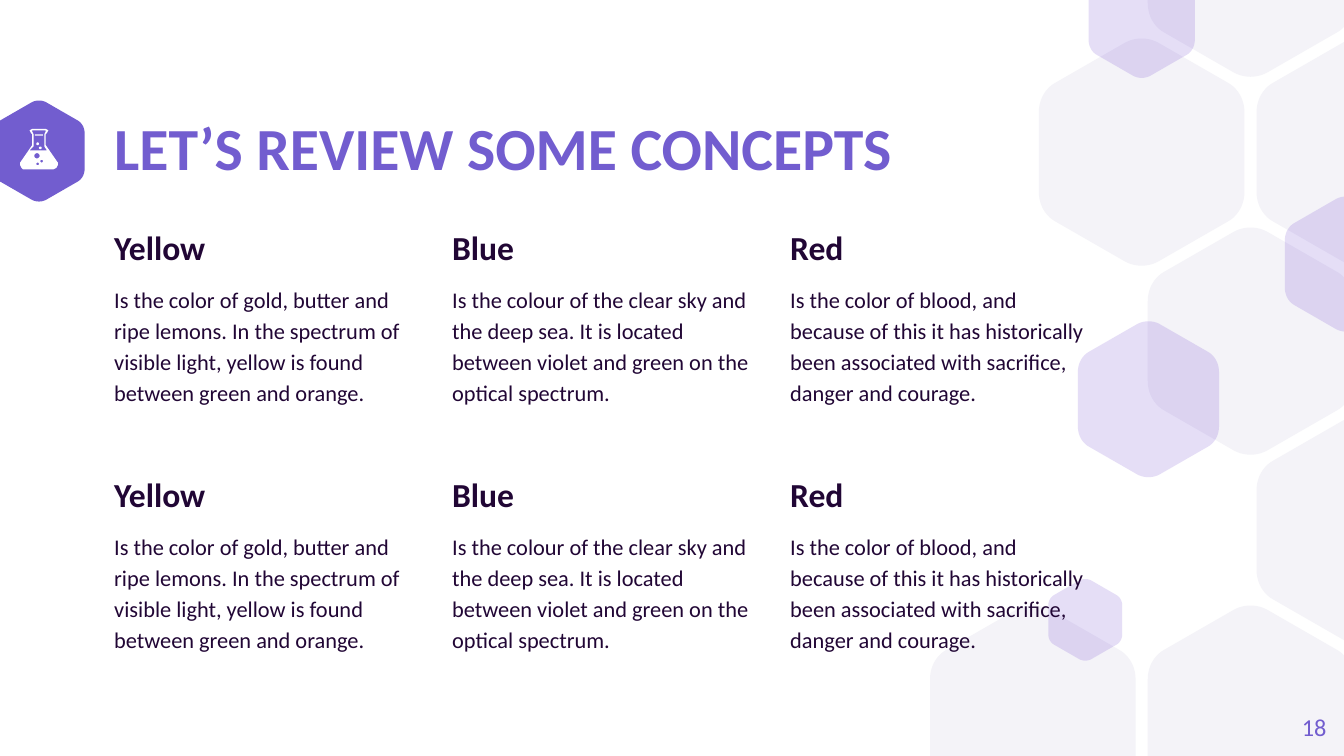
from dataclasses import dataclass
from math import cos, sin, tau

from lxml.etree import SubElement
from pptx import Presentation
from pptx.dml.color import RGBColor as Rgb
from pptx.enum.shapes import MSO_SHAPE as Kind
from pptx.enum.text import MSO_ANCHOR as Anchor, MSO_AUTO_SIZE as Fit, PP_ALIGN as Align
from pptx.oxml.ns import qn
from pptx.util import Inches, Pt

WIDE, HIGH = 10, 5.625
PURPLE, INK, PALE, TINT, WHITE = "725DCF", "210635", "F4F3F8", "5322C9", "FFFFFF"
Point = tuple[float, float]
Loop = list[Point]


@dataclass
class Hex:
    """A hexagon placed by shares of the slide, with its width as a share."""
    left: float
    top: float
    width: float
    fill: str = TINT
    alpha: int = 15


@dataclass
class Card:
    """A concept: its name and what it means."""
    name: str
    text: str


CELLS = [(-1, 3), (1, 3), (2, 0), (1, -1), (1, 1), (0, 0), (2, 2)]
HEXES = [Hex(-0.005, 0.133, 0.068, PURPLE, 100)]
HEXES += [Hex(0.773 + 0.081 * col, 0.051 + 0.25 * row, 0.153, PALE, 100) for col, row in CELLS]
HEXES += [Hex(0.956, 0.26, 0.091), Hex(0.78, 0.766, 0.055),
          Hex(0.81, -0.052, 0.079), Hex(0.802, 0.425, 0.105)]
CARDS = [
    Card("Yellow", "Is the color of gold, butter and ripe lemons. In the spectrum of "
                   "visible light, yellow is found between green and orange."),
    Card("Blue", "Is the colour of the clear sky and the deep sea. It is located "
                 "between violet and green on the optical spectrum."),
    Card("Red", "Is the color of blood, and because of this it has historically "
                "been associated with sacrifice, danger and courage."),
]
FLASK = [(0.24, 0.96), (0.34, 0.96), (0.36, 0.97), (0.35, 0.99), (0.34, 1), (0.34, 1.08),
         (0.43, 1.21), (0.43, 1.23), (0.42, 1.25), (0.4, 1.26), (0.17, 1.26), (0.16, 1.25),
         (0.15, 1.23), (0.15, 1.21), (0.24, 1.08), (0.24, 1), (0.23, 0.99), (0.22, 0.97)]
NECK = [(0.24, 0.97), (0.34, 0.97), (0.34, 0.98), (0.33, 1), (0.33, 1.09), (0.35, 1.12),
        (0.22, 1.12), (0.25, 1.09), (0.25, 1), (0.24, 0.98)]


def paint(shape, fill: str, alpha: int = 100) -> None:
    """Fill a shape with one colour and clear its line and shadow."""
    shape.shadow.inherit = False
    shape.line.fill.background()
    shape.fill.solid()
    shape.fill.fore_color.rgb = Rgb.from_string(fill)
    if alpha < 100:
        tone = shape.fill._xPr.find(".//" + qn("a:srgbClr"))
        SubElement(tone, qn("a:alpha"), val=str(alpha * 1000))


def trace(shapes, loops: list[Loop], fill: str, alpha: int = 100) -> None:
    """Draw closed loops, in inches, as one shape."""
    first, *rest = [[(Inches(x), Inches(y)) for x, y in loop] for loop in loops]
    pen = shapes.build_freeform(*first[0], scale=1.0)
    pen.add_line_segments(first[1:], close=True)
    for loop in rest:
        pen.move_to(*loop[0])
        pen.add_line_segments(loop[1:], close=True)
    paint(pen.convert_to_shape(), fill, alpha)


def curve(a: Point, b: Point, c: Point, d: Point, steps: int = 10) -> Loop:
    """Return points along a cubic curve."""
    marks = [i / steps for i in range(steps + 1)]
    return [tuple((1 - t) ** 3 * p + 3 * (1 - t) ** 2 * t * q + 3 * (1 - t) * t * t * r + t ** 3 * s
                  for p, q, r, s in zip(a, b, c, d)) for t in marks]


def ring(x: float, y: float, size: float) -> Loop:
    """Return a small circle around a centre."""
    return [(x + size * cos(tau * i / 24), y + size * sin(tau * i / 24)) for i in range(24)]


def draw_hex(shapes, item: Hex) -> None:
    """Draw a rounded hexagon, cut at the slide's top and bottom."""
    bend = curve((1, 0.325), (1, 0.27), (0.97, 0.22), (0.92, 0.195))
    cap = curve((0.58, 0.018), (0.53, -0.006), (0.47, -0.006), (0.42, 0.018))
    upper = bend + cap + [(1 - x, y) for x, y in reversed(bend)]
    whole = upper + [(1 - x, 1 - y) for x, y in upper]
    width = item.width * WIDE
    loop = [(item.left * WIDE + x * width,
             min(max(item.top * HIGH + y * width * 1.105, 0), HIGH)) for x, y in whole]
    trace(shapes, [loop], item.fill, item.alpha)


def draw_flask(shapes) -> None:
    """Draw the flask with its bubbles."""
    holes = [ring(0.275, 1.16, 0.02), ring(0.31, 1.2, 0.01), ring(0.28, 1.22, 0.01)]
    trace(shapes, [FLASK, NECK, *holes], WHITE)
    for dot in [ring(0.3, 1.1, 0.01), ring(0.28, 1.07, 0.01)]:
        trace(shapes, [dot], WHITE)
    bar = shapes.add_shape(Kind.ROUNDED_RECTANGLE, *map(Inches, (0.26, 1, 0.06, 0.01)))
    paint(bar, WHITE)


def place(shape, left: float, top: float, width: float, height: float,
          anchor: Anchor = Anchor.MIDDLE):
    """Set a text shape by shares of the slide and return its frame."""
    shape.left, shape.top = Inches(left * WIDE), Inches(top * HIGH)
    shape.width, shape.height = Inches(width * WIDE), Inches(height * HIGH)
    frame = shape.text_frame
    frame.margin_left = frame.margin_right = frame.margin_top = frame.margin_bottom = 0
    frame.word_wrap, frame.auto_size = True, Fit.NONE
    frame.vertical_anchor = anchor
    return frame


def style(para, size: float, tone: str, bold: bool = False,
          space: float = 1.0, align: Align = Align.LEFT) -> None:
    """Format a paragraph and its runs."""
    para.alignment, para.line_spacing = align, space
    for run in para.runs:
        font = run.font
        font.name, font.size, font.bold = "Calibri", Pt(size), bold
        font.color.rgb = Rgb.from_string(tone)


def draw_card(shapes, card: Card, col: int, row: int) -> None:
    """Write one concept in its cell of the grid."""
    box = shapes.add_textbox(0, 0, 0, 0)
    frame = place(box, 0.085 + 0.2515 * col, 0.292 + 0.327 * row, 0.227, 0.267, Anchor.TOP)
    frame.text = f"{card.name}\n{card.text}"
    head, body = frame.paragraphs
    style(head, 18, INK, True, 1.15)
    style(body, 12, INK, False, 1.15)
    body.space_before = Pt(8)


def main() -> None:
    """Build the slide and save it."""
    deck = Presentation()
    deck.slide_width, deck.slide_height = Inches(WIDE), Inches(HIGH)
    slide = deck.slides.add_slide(deck.slide_layouts[5])
    shapes = slide.shapes
    for item in HEXES:
        draw_hex(shapes, item)
    draw_flask(shapes)
    title = place(shapes.title, 0.085, 0.162, 0.73, 0.077)
    title.text = "LET’S REVIEW SOME CONCEPTS"
    style(title.paragraphs[0], 32, PURPLE, True, 0.9)
    for row in range(2):
        for col, card in enumerate(CARDS):
            draw_card(shapes, card, col, row)
    page = place(shapes.add_textbox(0, 0, 0, 0), 0.927, 0.923, 0.06, 0.077)
    page.text = "18"
    style(page.paragraphs[0], 13, PURPLE, align=Align.RIGHT)
    deck.save("out.pptx")


if __name__ == "__main__":
    main()
